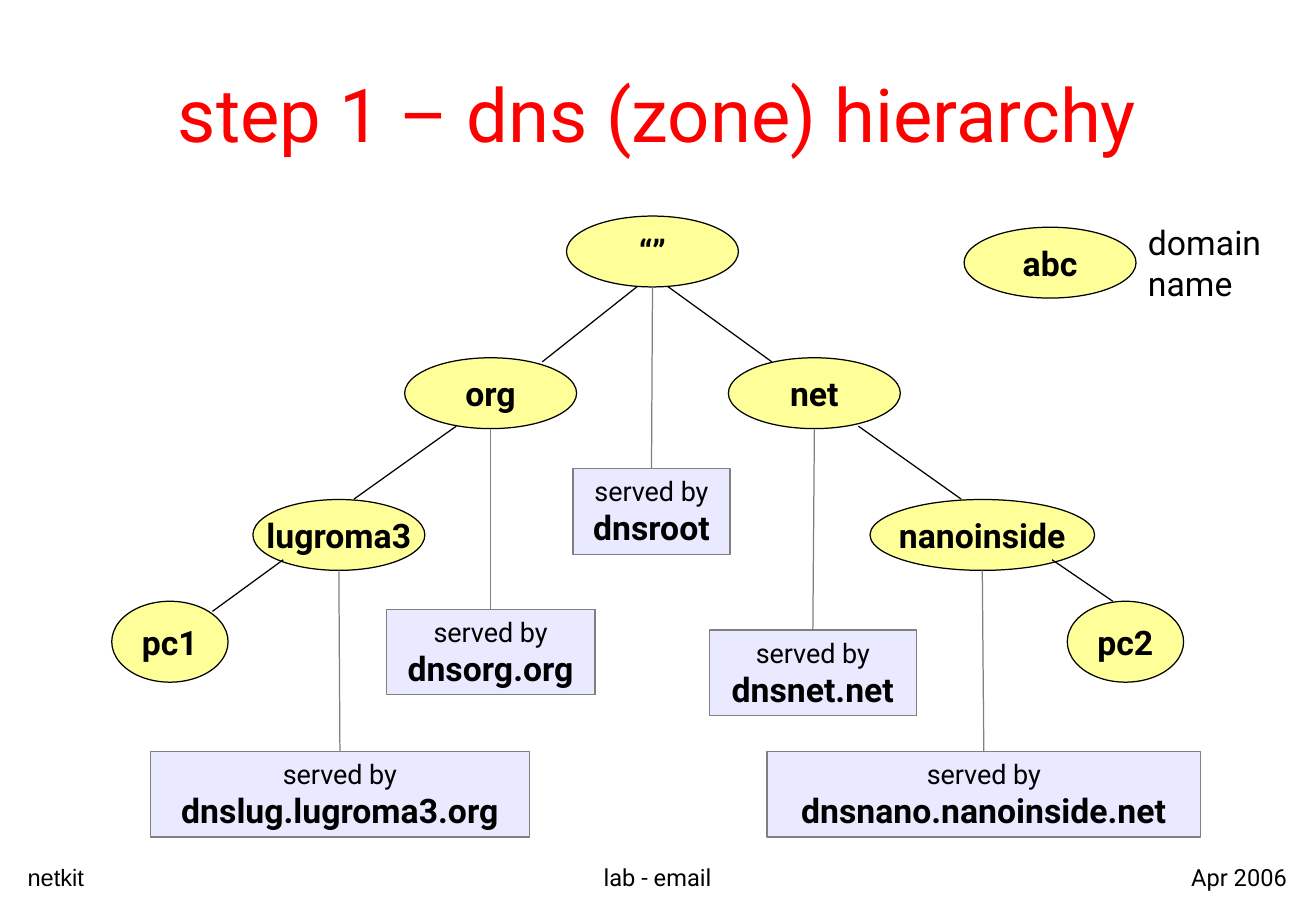
from lxml.etree import SubElement
from pptx import Presentation
from pptx.dml.color import RGBColor
from pptx.enum.shapes import MSO_CONNECTOR as Connector, MSO_SHAPE as Shape
from pptx.enum.text import MSO_ANCHOR as Anchor, PP_ALIGN as Align
from pptx.oxml.ns import qn
from pptx.util import Inches, Pt

BLACK = RGBColor(0x00, 0x00, 0x00)
RED = RGBColor(0xFF, 0x00, 0x00)
YELLOW = RGBColor(0xFF, 0xFF, 0x99)
LAVENDER = RGBColor(0xE9, 0xE9, 0xFF)
GREY = RGBColor(0x80, 0x80, 0x80)

CELLS_PER_INCH = 12
NODE_WIDTH, NODE_HEIGHT = 17, 7
LEVEL_ROWS = [24.85 + 14 * level for level in range(3)]
HOST_SIZE, HOST_ROW = (11.5, 8), 63.4
SERVER_HEIGHT = 8.45
FOOTER_ROW, FOOTER_HEIGHT = 84.7, 4.3


def cells(count):
    return Inches(count / CELLS_PER_INCH)


def write(paragraph, text, size=20, bold=False, color=BLACK, font="Roboto",
          align=Align.LEFT):
    paragraph.alignment = align
    run = paragraph.add_run()
    run.text = text
    run.font.name = font
    run.font.size = Pt(size)
    run.font.bold = bold
    run.font.color.rgb = color


class ZoneSlide:
    """Places the parts of the zone tree on a grid of 1/12 inch cells."""

    def __init__(self, presentation):
        self.slide = presentation.slides.add_slide(presentation.slide_layouts[6])
        self.line_width = Pt(0.75)

    def outlined(self, kind, column, top, width, height, fill, line):
        """Adds a filled shape centred on a column and returns its text frame."""
        shape = self.slide.shapes.add_shape(
            kind, cells(column - width / 2), cells(top), cells(width), cells(height))
        shape.shadow.inherit = False
        shape.fill.solid()
        shape.fill.fore_color.rgb = fill
        shape.line.color.rgb = line
        shape.line.width = self.line_width
        shape.text_frame.word_wrap = False
        return shape.text_frame

    def domain(self, name, column, row, width=NODE_WIDTH, height=NODE_HEIGHT):
        frame = self.outlined(Shape.OVAL, column, row - height / 2, width, height,
                              YELLOW, BLACK)
        frame.vertical_anchor = Anchor.MIDDLE
        write(frame.paragraphs[0], name, bold=True, align=Align.CENTER)

    def server(self, name, column, top, width):
        frame = self.outlined(Shape.RECTANGLE, column, top, width, SERVER_HEIGHT,
                              LAVENDER, GREY)
        frame.vertical_anchor = Anchor.TOP
        write(frame.paragraphs[0], "served by", size=16, align=Align.CENTER)
        write(frame.add_paragraph(), name, bold=True, align=Align.CENTER)

    def line(self, start, end, color):
        connector = self.slide.shapes.add_connector(
            Connector.STRAIGHT, *map(cells, (*start, *end)))
        connector.line.color.rgb = color
        connector.line.width = self.line_width
        SubElement(connector._element.spPr, qn("a:effectLst"))

    def label(self, text, left, top, width, height, anchor=Anchor.TOP, **style):
        box = self.slide.shapes.add_textbox(*map(cells, (left, top, width, height)))
        box.text_frame.word_wrap = True
        box.text_frame.vertical_anchor = anchor
        write(box.text_frame.paragraphs[0], text, **style)


# name, centre column, level, width
DOMAINS = [
    ("“”", 64.5, 0, NODE_WIDTH),
    ("org", 48.5, 1, NODE_WIDTH),
    ("net", 80.5, 1, NODE_WIDTH),
    ("lugroma3", 33.5, 2, NODE_WIDTH),
    ("nanoinside", 97.1, 2, 22.2),
]
HOSTS = [("pc1", 16.8), ("pc2", 111.25)]
# child end, parent end
BRANCHES = [
    ((21, 60.4), (28, 55.3)),
    ((35, 49.3), (45.1, 42.1)),
    ((53.6, 35.75), (63, 28.3)),
    ((110, 59.4), (104, 55.3)),
    ((95, 49.3), (84.85, 42.1)),
    ((76.3, 35.75), (66, 28.3)),
]
# name, centre column, top row, width; same order as DOMAINS
SERVERS = [
    ("dnsroot", 64.4, 46.3, 15.5),
    ("dnsorg.org", 48.5, 60.2, 20.65),
    ("dnsnet.net", 80.35, 62.25, 20.5),
    ("dnslug.lugroma3.org", 33.6, 74.25, 37.45),
    ("dnsnano.nanoinside.net", 97.25, 74.25, 42.85),
]
# text, left, width, alignment, font
FOOTERS = [
    ("netkit", 1.55, 9.25, Align.LEFT, "Arial"),
    ("lab - email", 33.25, 63.5, Align.CENTER, "Roboto"),
    ("Apr 2006", 98.75, 29.65, Align.RIGHT, "Roboto"),
]


def main():
    presentation = Presentation()
    presentation.slide_width, presentation.slide_height = Inches(10.84), Inches(7.5)
    zones = ZoneSlide(presentation)

    zones.label("step 1 – dns (zone) hierarchy", 6.5, 3.6, 117, 15, size=44,
                color=RED, align=Align.CENTER, anchor=Anchor.MIDDLE)
    for name, column in HOSTS:
        zones.domain(name, column, HOST_ROW, *HOST_SIZE)
    for name, column, level, width in DOMAINS:
        zones.domain(name, column, LEVEL_ROWS[level], width)
    for child, parent in BRANCHES:
        zones.line(child, parent, BLACK)
    for server, domain in zip(SERVERS, DOMAINS):
        zones.server(*server)
        _, server_column, server_top, _ = server
        _, domain_column, level, _ = domain
        domain_bottom = LEVEL_ROWS[level] + NODE_HEIGHT / 2
        zones.line((server_column, server_top), (domain_column, domain_bottom), GREY)

    zones.domain("abc", 103.8, 25.95)
    zones.label("domain name", 112.3, 21.35, 15.1, 9.25)
    for text, left, width, align, font in FOOTERS:
        zones.label(text, left, FOOTER_ROW, width, FOOTER_HEIGHT, size=14,
                    align=align, font=font)
    presentation.save("out.pptx")


if __name__ == "__main__":
    main()
